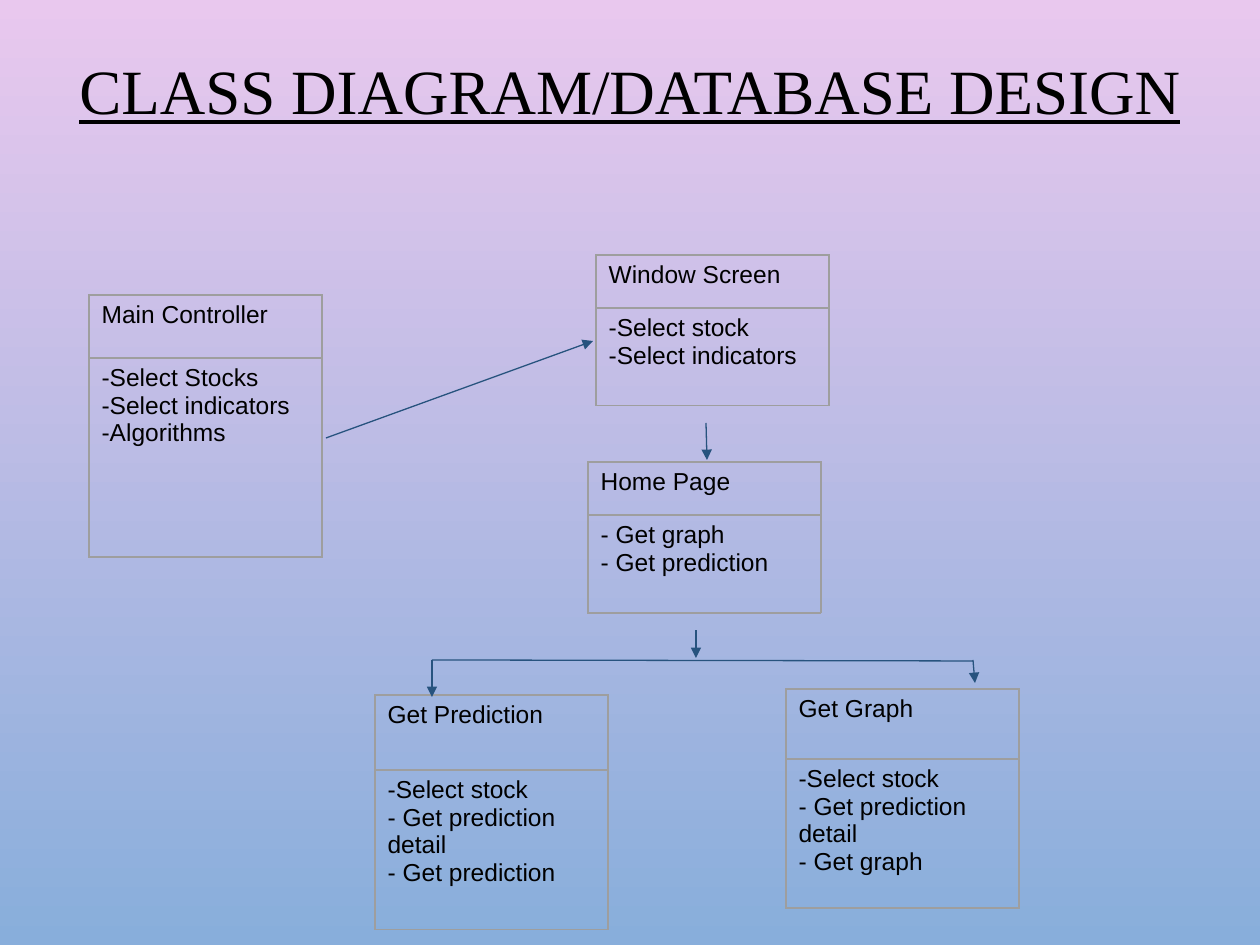
from lxml.etree import SubElement
from pptx import Presentation
from pptx.dml.color import RGBColor
from pptx.enum.shapes import MSO_CONNECTOR
from pptx.enum.text import MSO_ANCHOR, MSO_AUTO_SIZE, PP_ALIGN
from pptx.oxml.ns import qn
from pptx.util import Pt

PX = 914400 / 126
BORDER, ARROW, BLACK = "9E9E9E", "27537E", "000000"
CLASS_WIDTH = 233


def px(length):
    return round(length * PX)


def style_run(run, font, size):
    for name, value in {"name": font, "size": Pt(size)}.items():
        setattr(run.font, name, value)
    run.font.color.rgb = RGBColor.from_string(BLACK)


prs = Presentation()
prs.slide_width, prs.slide_height = px(1260), px(945)
slide = prs.slides.add_slide(prs.slide_layouts[5])

background = slide.background.fill
background.gradient()
background.gradient_angle = 270
for stop, (position, color) in zip(background.gradient_stops, [(0, "E9C8EE"), (1, "88AEDB")]):
    stop.position = position
    stop.color.rgb = RGBColor.from_string(color)

title = slide.shapes.title
title.left, title.top, title.width, title.height = px(55), px(-15), px(1150), px(219)
frame = title.text_frame
frame.text = "CLASS DIAGRAM/DATABASE DESIGN"
frame.word_wrap = True
frame.auto_size = MSO_AUTO_SIZE.NONE
frame.vertical_anchor = MSO_ANCHOR.MIDDLE
heading = frame.paragraphs[0]
heading.alignment = PP_ALIGN.CENTER
heading.line_spacing = 0.9
style_run(heading.runs[0], "Times New Roman", 36)
heading.runs[0].font.underline = True

# left, top, name height, members height, name, members
classes = [
    (89, 295, 63, 199, "Main Controller", "-Select Stocks\n-Select indicators\n-Algorithms"),
    (596, 255, 53, 98, "Window Screen", "-Select stock\n-Select indicators"),
    (588, 462, 53, 98, "Home Page", "- Get graph\n- Get prediction"),
    (786, 689, 70, 149, "Get Graph", "-Select stock\n- Get prediction detail\n- Get graph"),
    (375, 695, 75, 160, "Get Prediction", "-Select stock\n- Get prediction detail\n- Get prediction"),
]
for left, top, name_height, members_height, name, members in classes:
    table = slide.shapes.add_table(
        2, 1, px(left), px(top), px(CLASS_WIDTH), px(name_height + members_height)).table
    table.first_row = table.horz_banding = False
    for row, (height, text) in enumerate([(name_height, name), (members_height, members)]):
        table.rows[row].height = px(height)
        cell = table.cell(row, 0)
        cell.text = text
        for paragraph in cell.text_frame.paragraphs:
            style_run(paragraph.runs[0], "Arial", 14)
        properties = cell._tc.get_or_add_tcPr()
        for side in ("a:lnL", "a:lnR", "a:lnT", "a:lnB"):
            line = SubElement(properties, qn(side), w=str(Pt(0.75)))
            SubElement(SubElement(line, qn("a:solidFill")), qn("a:srgbClr"), val=BORDER)
        cell.fill.background()

# start x, start y, end x, end y, arrowhead
links = [
    (326, 438, 593, 341, True),
    (706, 423, 707, 460, True),
    (432, 660, 973, 661, False),
    (432, 660, 432, 697, True),
    (973, 660, 975, 683, True),
    (696, 630, 696, 658, True),
]
for start_x, start_y, end_x, end_y, has_head in links:
    link = slide.shapes.add_connector(
        MSO_CONNECTOR.STRAIGHT, px(start_x), px(start_y), px(end_x), px(end_y))
    link.line.width = Pt(0.75)
    link.line.color.rgb = RGBColor.from_string(ARROW)
    if has_head:
        SubElement(link.line._get_or_add_ln(), qn("a:tailEnd"), type="triangle")
    SubElement(link._element.spPr, qn("a:effectLst"))

prs.save("out.pptx")
